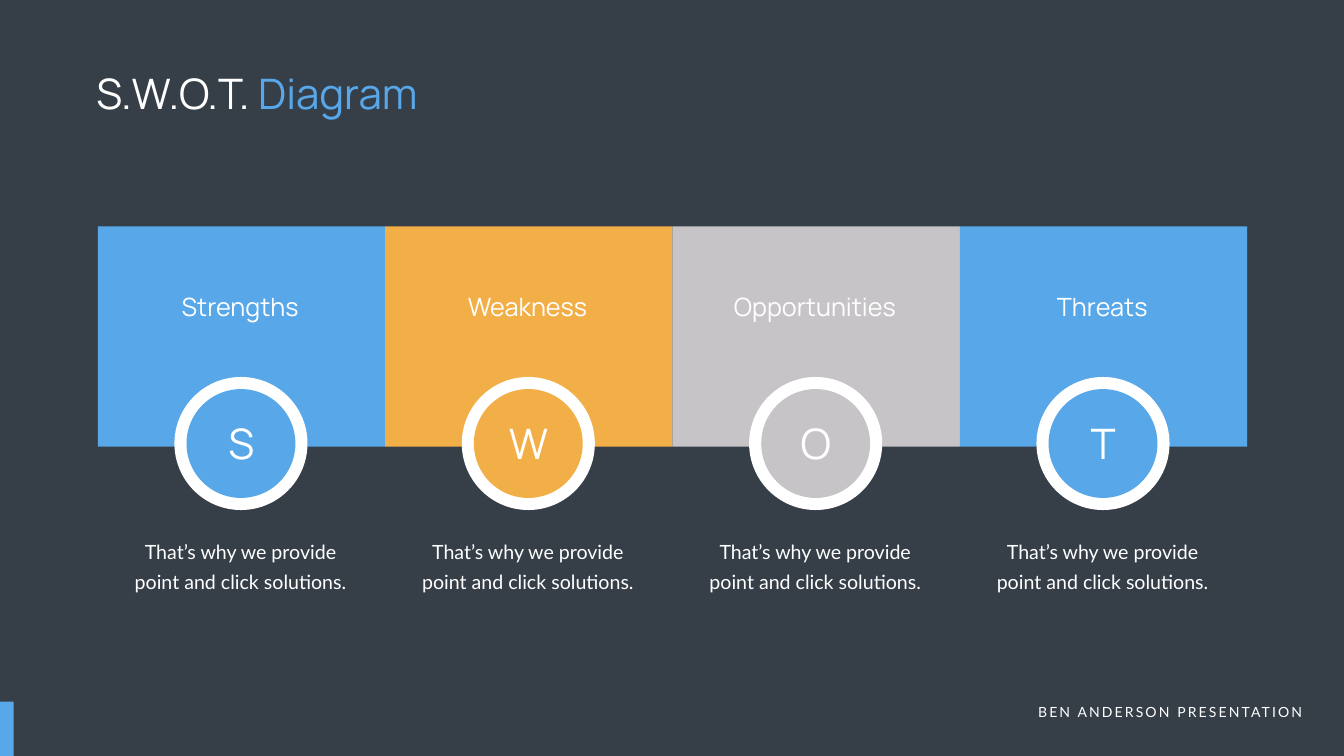
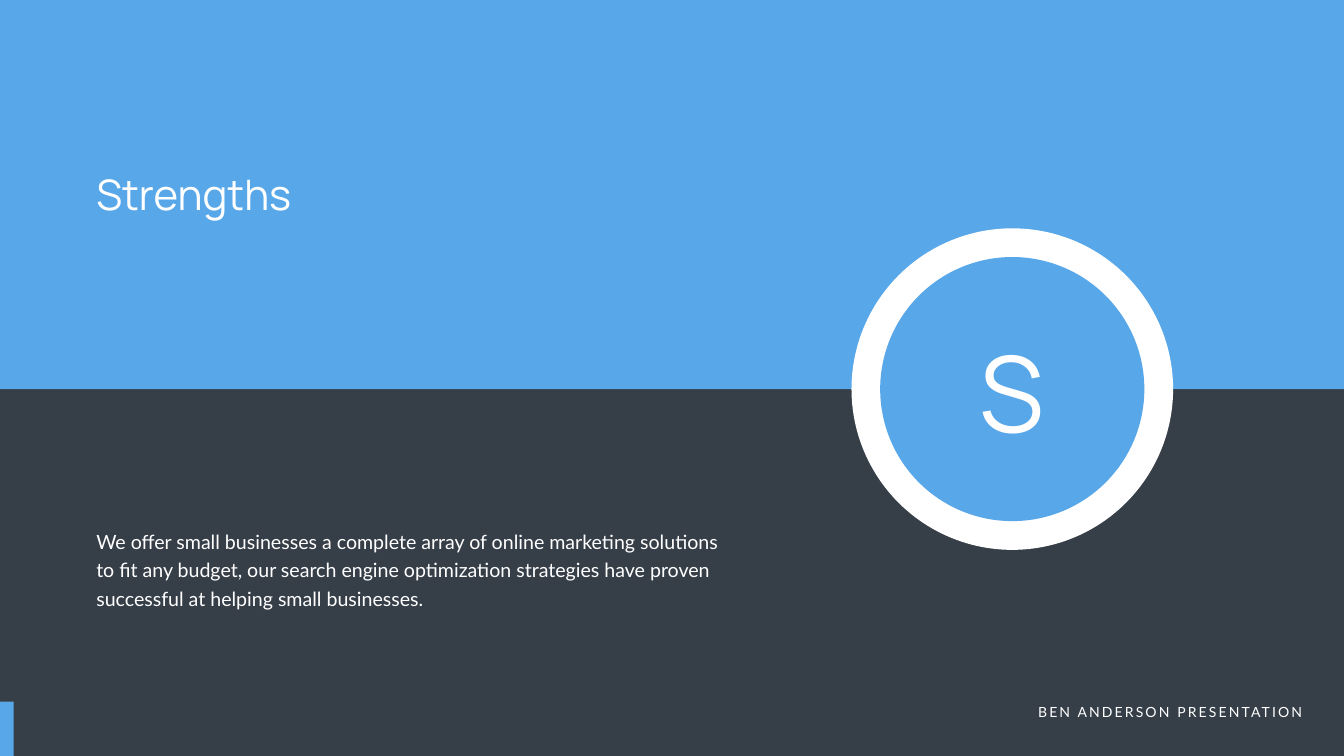
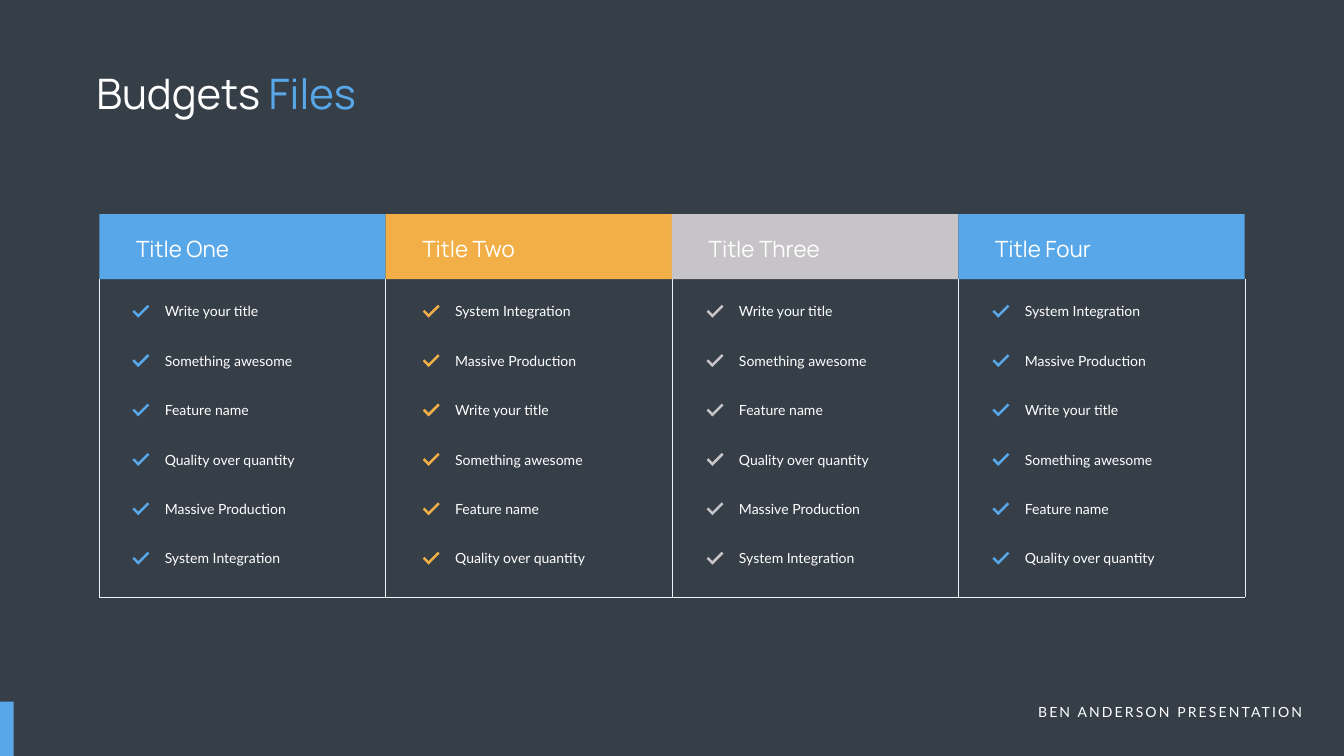
import dataclasses
import typing

import lxml.etree
import pptx
import pptx.dml.color
import pptx.enum.shapes
import pptx.enum.text
import pptx.oxml.ns
import pptx.util

Inches = pptx.util.Inches
Pt = pptx.util.Pt
MSO_SHAPE = pptx.enum.shapes.MSO_SHAPE
PP_ALIGN = pptx.enum.text.PP_ALIGN
qn = pptx.oxml.ns.qn
Box = tuple[float, float, float, float]
Run = tuple[str, str]

COLORS = {
    "dark": "363E48",
    "blue": "57A7E9",
    "orange": "F3AF47",
    "gray": "C7C4C7",
    "white": "FFFFFF",
    "rule": "EFF1F8",
}
FORMATS = {
    "title": {"name": "Manrope", "size": Pt(60)},
    "initial": {"name": "Manrope", "size": Pt(150)},
    "label": {"name": "Manrope", "size": Pt(36)},
    "header": {"name": "Manrope", "size": Pt(32)},
    "body": {"name": "Lato", "size": Pt(28)},
    "small": {"name": "Lato", "size": Pt(20)},
}
TITLE_LAYOUT, BODY_LAYOUT = 5, 1


@dataclasses.dataclass
class Factor:
    name: str
    color: str


@dataclasses.dataclass
class Plan:
    title: str
    color: str
    check_left: float
    features: list[str]


FACTORS = [
    Factor("Strengths", "blue"),
    Factor("Weakness", "orange"),
    Factor("Opportunities", "gray"),
    Factor("Threats", "blue"),
]
FEATURES = ["Write your title", "Something awesome", "Feature name",
            "Quality over quantity", "Massive Production", "System Integration"]
FEATURES_ALT = ["System Integration", "Massive Production", *FEATURES[:4]]
PLANS = [
    Plan("Title One", "blue", 2.62, FEATURES),
    Plan("Title Two", "orange", 8.38, FEATURES_ALT),
    Plan("Title Three", "gray", 14.01, FEATURES),
    Plan("Title Four", "blue", 19.68, FEATURES_ALT),
]


def rgb(color: str) -> pptx.dml.color.RGBColor:
    return pptx.dml.color.RGBColor.from_string(COLORS[color])


def place(sp: typing.Any, box: Box) -> None:
    for attr, value in zip(("left", "top", "width", "height"), box):
        setattr(sp, attr, Inches(value))


def add_block(s: typing.Any, box: Box, color: str, kind: MSO_SHAPE = MSO_SHAPE.RECTANGLE,
              rotation: float = 0) -> None:
    sp = s.shapes.add_shape(kind, *map(Inches, box))
    sp.shadow.inherit = False
    sp.fill.solid()
    sp.fill.fore_color.rgb = rgb(color)
    sp.line.fill.background()
    sp.rotation = rotation


def add_rule(s: typing.Any, x1: float, y1: float, x2: float, y2: float) -> None:
    cn = s.shapes.add_connector(pptx.enum.shapes.MSO_CONNECTOR.STRAIGHT,
                                *map(Inches, (x1, y1, x2, y2)))
    cn.line.color.rgb = rgb("rule")
    cn.line.width = Pt(0.5)
    lxml.etree.SubElement(cn._element.spPr, qn("a:effectLst"))


def add_text(s: typing.Any, box: Box, runs: str | list[Run], style: str,
             align: PP_ALIGN = PP_ALIGN.LEFT, line_spacing: float | None = None,
             tracking: float = 0, holder: typing.Any = None) -> None:
    sp = holder
    if sp is None:
        sp = s.shapes.add_textbox(*map(Inches, box))
    else:
        place(sp, box)
        s.shapes._spTree.append(sp._element)
    tf = sp.text_frame
    tf.word_wrap = True
    tf.auto_size = pptx.enum.text.MSO_AUTO_SIZE.SHAPE_TO_FIT_TEXT
    tf.vertical_anchor = pptx.enum.text.MSO_ANCHOR.TOP
    p = tf.paragraphs[0]
    if holder is not None:
        pPr = p._p.get_or_add_pPr()
        pPr.set("marL", "0")
        pPr.set("indent", "0")
        lxml.etree.SubElement(pPr, qn("a:buNone"))
        p.space_before = Pt(0)
    p.alignment = align
    if line_spacing:
        p.line_spacing = Pt(line_spacing)
    for text, color in [(runs, "white")] if isinstance(runs, str) else runs:
        r = p.add_run()
        r.text = text
        for attr, value in FORMATS[style].items():
            setattr(r.font, attr, value)
        r.font.color.rgb = rgb(color)
        if tracking:
            r._r.get_or_add_rPr().set("spc", str(int(tracking * 100)))


def add_title(s: typing.Any, runs: str | list[Run], top: float = 1.28,
              width: float = 14.34) -> None:
    add_text(s, (1.81, top, width, 1.11), runs, "title", holder=s.shapes.title)


def add_footer(s: typing.Any) -> None:
    add_text(s, (20.08, 13.91, 5.85, 0.44), "BEN ANDERSON PRESENTATION", "small",
             PP_ALIGN.RIGHT, tracking=3)
    add_block(s, (0, 13.92, 0.27, 1.08), "blue")


def add_badge(s: typing.Any, left: float, top: float, size: float, ring: float,
              color: str) -> None:
    inner = size - 2 * ring
    add_block(s, (left, top, size, size), "white", MSO_SHAPE.OVAL)
    add_block(s, (left + ring, top + ring, inner, inner), color, MSO_SHAPE.OVAL)


def add_check(s: typing.Any, left: float, top: float, color: str) -> None:
    add_block(s, (left, top + 0.05, 0.16, 0.05), color, rotation=45)
    add_block(s, (left + 0.06, top, 0.31, 0.05), color, rotation=315)


def new_slide(prs: typing.Any, layout: int) -> typing.Any:
    s = prs.slides.add_slide(prs.slide_layouts[layout])
    s.background.fill.solid()
    s.background.fill.fore_color.rgb = rgb("dark")
    return s


def build_swot(prs: typing.Any) -> None:
    s = new_slide(prs, TITLE_LAYOUT)
    add_title(s, [("S.W.O.T. ", "white"), ("Diagram", "blue")])
    add_footer(s)
    left, pitch = 1.94, 5.7
    columns = [(left + pitch * i, factor) for i, factor in enumerate(FACTORS)]
    for x, factor in columns:
        add_block(s, (x, 4.49, pitch, 4.37), factor.color)
    for x, factor in columns:
        add_badge(s, x + 1.52, 7.48, 2.64, 0.24, factor.color)
        add_text(s, (x + 0.76, 5.73, 4.13, 0.72), factor.name, "label", PP_ALIGN.CENTER)
        add_text(s, (x + 2.09, 8.24, 1.51, 1.13), factor.name[0], "title", PP_ALIGN.CENTER)
        add_text(s, (x + 0.53, 10.53, 4.6, 1.25),
                 "That’s why we provide point and click solutions.", "body",
                 PP_ALIGN.CENTER, line_spacing=43)


def build_strengths(prs: typing.Any) -> None:
    s = new_slide(prs, BODY_LAYOUT)
    add_block(s, (0, 0, 26.66, 7.72), "blue")
    add_badge(s, 16.89, 4.53, 6.38, 0.57, "blue")
    add_text(s, (18.26, 6.45, 3.64, 2.63), "S", "initial", PP_ALIGN.CENTER)
    add_text(s, (1.81, 10.36, 12.71, 1.77),
             "We offer small businesses a complete array of online marketing solutions "
             "to fit any budget, our search engine optimization strategies have proven "
             "successful at helping small businesses.",
             "body", line_spacing=40.8, holder=s.placeholders[1])
    add_footer(s)
    add_title(s, "Strengths", top=3.3, width=4.57)


def build_budgets(prs: typing.Any) -> None:
    s = new_slide(prs, TITLE_LAYOUT)
    add_title(s, [("Budgets ", "white"), ("Files", "blue")])
    add_footer(s)
    left, pitch, row_pitch, bottom = 1.97, 5.68, 0.98, 11.85
    right = left + pitch * len(PLANS)
    for plan in PLANS:
        for row, feature in enumerate(plan.features):
            y = 5.96 + row_pitch * row
            add_text(s, (plan.check_left + 0.55, y, 3.5, 0.44), feature, "small")
            add_check(s, plan.check_left, y + 0.19, plan.color)
    for i in range(len(PLANS) + 1):
        x = left + pitch * i
        add_rule(s, x, 5.53, x, bottom)
    add_rule(s, left, bottom, right, bottom)
    for i, plan in enumerate(PLANS):
        x = left + pitch * i
        add_block(s, (x, 4.25, pitch, 1.29), plan.color)
        add_text(s, (x + 0.63, 4.62, 2.6, 0.64), plan.title, "header")


def main() -> None:
    prs = pptx.Presentation()
    prs.slide_width = Inches(26.66)
    prs.slide_height = Inches(15)
    build_swot(prs)
    build_strengths(prs)
    build_budgets(prs)
    prs.save("out.pptx")


if __name__ == "__main__":
    main()
